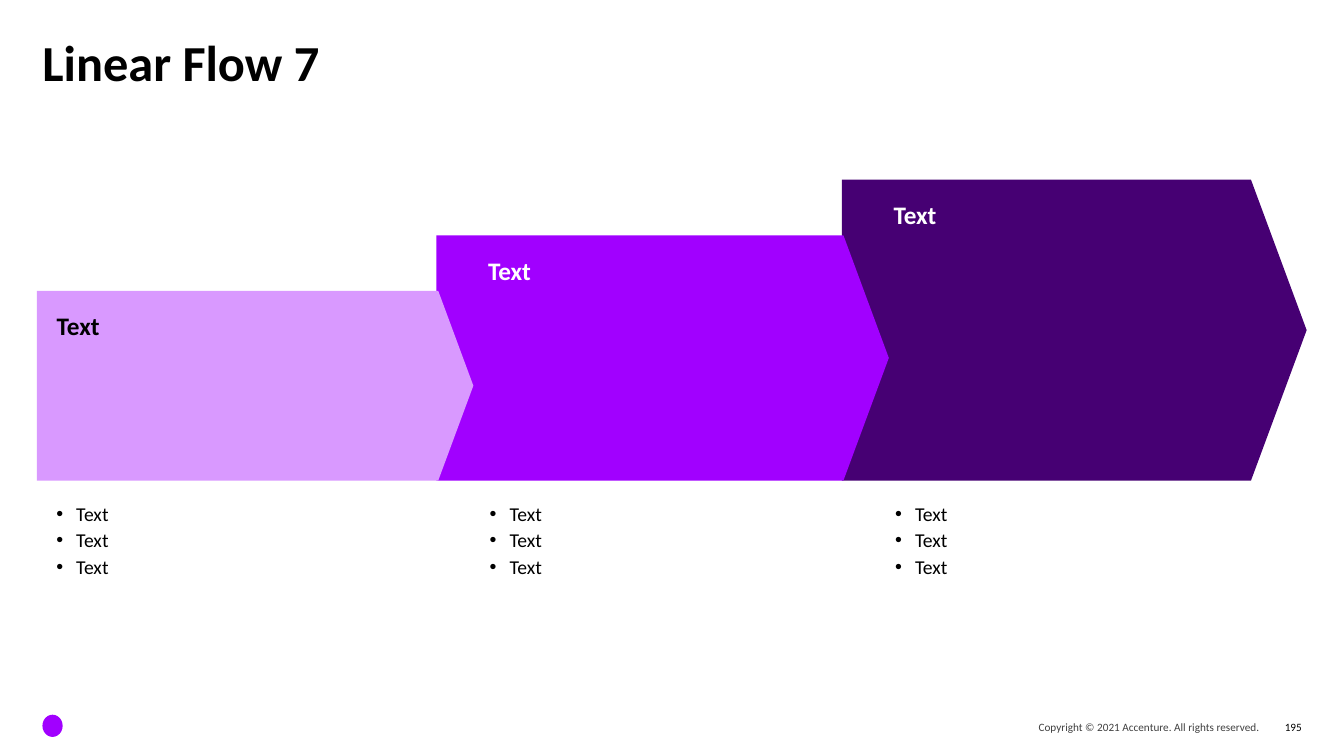
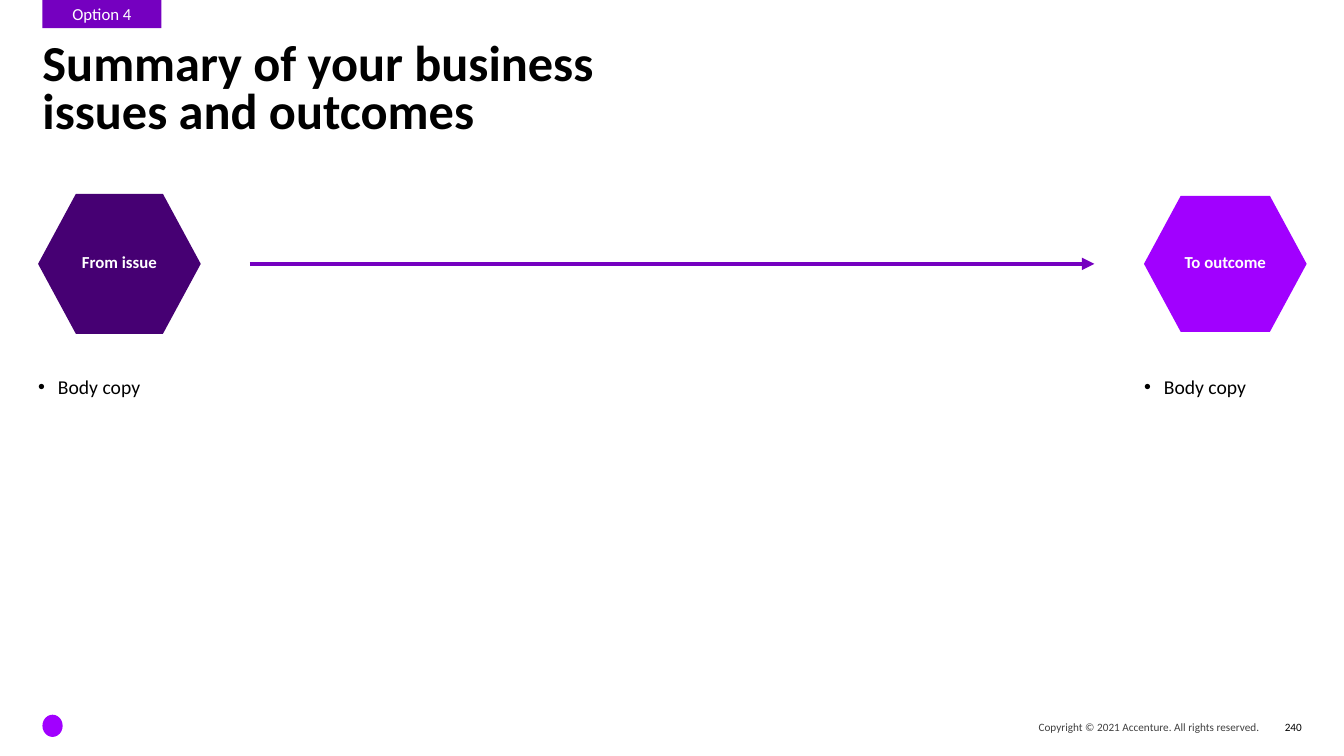
from lxml.etree import SubElement
from pptx import Presentation
from pptx.dml.color import RGBColor
from pptx.enum.shapes import MSO_CONNECTOR as Connector, MSO_SHAPE as Preset
from pptx.enum.text import MSO_ANCHOR as Anchor, MSO_AUTO_SIZE as AutoSize, PP_ALIGN as Align
from pptx.oxml.ns import qn
from pptx.util import Cm, Pt


def color(hex_value):
    return RGBColor.from_string(hex_value)


class Deck:
    FONT = "Calibri"
    BLACK, GREY, WHITE = "000000", "404040", "FFFFFF"
    LILAC, BRIGHT, VIOLET, DARK = "D999FF", "A100FF", "7500C0", "460073"
    MARGIN = 1.07
    TITLE_SIZE = 36
    FOOTER_TOP, FOOTER_HEIGHT = 18.03, 0.56

    def __init__(self):
        self.prs = Presentation()
        self.prs.slide_width, self.prs.slide_height = Cm(33.87), Cm(19.05)
        for title_font in self.prs.slide_master.element.xpath(
                ".//p:titleStyle/a:lvl1pPr/a:defRPr"):
            title_font.set("sz", str(self.TITLE_SIZE * 100))

    def new_slide(self, layout, title, page):
        self.slide = self.prs.slides.add_slide(self.prs.slide_layouts.get_by_name(layout))
        self.free_bodies = list(self.slide.placeholders)[1:]
        heading = self.slide.shapes.title
        self.place(heading, self.MARGIN, self.MARGIN, 31.75, 2.24)
        self.set_text(heading, title, self.TITLE_SIZE, bold=True, line_spacing=0.8)
        self.block(Preset.OVAL, self.MARGIN, 18.01, 0.51, 0.56, self.BRIGHT)
        self.footer_text("Copyright © 2021 Accenture. All rights reserved.",
                         20.32, 11.43, self.GREY)
        self.footer_text(page, 31.9, 0.91, self.BLACK)

    def place(self, shape, left, top, width, height):
        shape.left, shape.top = Cm(left), Cm(top)
        shape.width, shape.height = Cm(width), Cm(height)

    def set_text(self, shape, text, size, text_color=BLACK, bold=False, align=Align.LEFT,
                 anchor=Anchor.TOP, insets=(0, 0, 0, 0), line_spacing=None):
        frame = shape.text_frame
        frame.text = text
        frame.word_wrap = True
        frame.auto_size = AutoSize.NONE
        frame.vertical_anchor = anchor
        (frame.margin_left, frame.margin_top,
         frame.margin_right, frame.margin_bottom) = map(Cm, insets)
        for paragraph in frame.paragraphs:
            paragraph.alignment = align
            paragraph.line_spacing = line_spacing
            for run in paragraph.runs:
                run.font.name, run.font.size = self.FONT, Pt(size)
                run.font.bold = bold
                run.font.color.rgb = color(text_color)

    def footer_text(self, text, left, width, text_color):
        box = self.slide.shapes.add_textbox(
            Cm(left), Cm(self.FOOTER_TOP), Cm(width), Cm(self.FOOTER_HEIGHT))
        self.set_text(box, text, 8, text_color, align=Align.RIGHT, anchor=Anchor.MIDDLE)

    def block(self, preset, left, top, width, height, fill):
        shape = self.slide.shapes.add_shape(
            preset, Cm(left), Cm(top), Cm(width), Cm(height))
        shape.shadow.inherit = False
        shape.fill.solid()
        shape.fill.fore_color.rgb = color(fill)
        shape.line.fill.background()
        return shape

    def step(self, left, top, width, bottom, fill, text_color, text_inset):
        step = self.block(Preset.PENTAGON, left, top, width, bottom - top, fill)
        step.adjustments[0] = 0.185
        self.set_text(step, "Text", 18, text_color, bold=True,
                      insets=(text_inset, 0.5, 0.4, 0.13))

    def hexagon(self, text, left, middle, width, height, fill):
        hexagon = self.block(Preset.HEXAGON, left, middle - height / 2, width, height, fill)
        hexagon.adjustments[0] = 0.27
        self.set_text(hexagon, text, 12, self.WHITE, bold=True, align=Align.CENTER,
                      anchor=Anchor.MIDDLE, insets=(0, 0.13, 0, 0.13), line_spacing=0.85)

    def tab(self, text):
        tab = self.block(Preset.RECTANGLE, self.MARGIN, 0, 3, 0.71, self.VIOLET)
        self.set_text(tab, text, 12, self.WHITE, align=Align.CENTER, insets=(0.1,) * 4)

    def bullets(self, items, left, top, width, height, top_inset=0):
        body = self.free_bodies.pop(0)
        self.place(body, left, top, width, height)
        self.set_text(body, "\n".join(items), 14, insets=(0, top_inset, 0, 0))
        for position, paragraph in enumerate(body.text_frame.paragraphs):
            properties = paragraph._p.get_or_add_pPr()
            properties.set("marL", str(Cm(0.5)))
            properties.set("indent", str(-Cm(0.5)))
            bullet_color = SubElement(properties, qn("a:buClr"))
            SubElement(bullet_color, qn("a:srgbClr")).set("val", self.BLACK)
            SubElement(properties, qn("a:buFont")).set("typeface", "Arial")
            SubElement(properties, qn("a:buChar")).set("char", "•")
            paragraph.space_before = Pt(1 if position else 0)
            paragraph.space_after = Pt(1)

    def arrow(self, start, end, y):
        arrow = self.slide.shapes.add_connector(
            Connector.STRAIGHT, Cm(start), Cm(y), Cm(end), Cm(y))
        arrow.line.color.rgb = color(self.VIOLET)
        arrow.line.width = Pt(3)
        properties = arrow.element.spPr
        SubElement(properties.find(qn("a:ln")), qn("a:tailEnd")).set("type", "triangle")
        SubElement(properties, qn("a:effectLst"))

    def drop_free_bodies(self):
        for body in self.free_bodies:
            body.element.getparent().remove(body.element)


def linear_flow(deck):
    deck.new_slide("Comparison", "Linear Flow 7", "195")
    steps = [
        (0.93, 11, deck.LILAC, deck.BLACK, 0.5, 1.42),
        (11, 11.4, deck.BRIGHT, deck.WHITE, 1.3, 12.34),
        (21.22, 11.71, deck.DARK, deck.WHITE, 1.3, 22.56),
    ]
    for level, (left, width, fill, text_color, inset, _) in reversed(list(enumerate(steps))):
        deck.step(left, 7.33 - 1.4 * level, width, 12.11, fill, text_color, inset)
    for *_, list_left in steps:
        deck.bullets(["Text"] * 3, list_left, 12.45, 8.97, 4.39, top_inset=0.2)
    deck.drop_free_bodies()


def issues_and_outcomes(deck):
    deck.new_slide("Two Content", "Summary of your business\vissues and outcomes", "240")
    deck.tab("Option 4")
    middle, width = 6.65, 4.1
    for label, left, height, fill in (("From issue", 0.96, 3.53, deck.DARK),
                                      ("To outcome", 28.83, 3.43, deck.BRIGHT)):
        deck.hexagon(label, left, middle, width, height, fill)
        deck.bullets(["Body copy"], left, 9.45, width, 7.37)
    deck.arrow(6.3, 27.58, middle)
    deck.drop_free_bodies()


def main():
    deck = Deck()
    linear_flow(deck)
    issues_and_outcomes(deck)
    deck.prs.save("out.pptx")


if __name__ == "__main__":
    main()
